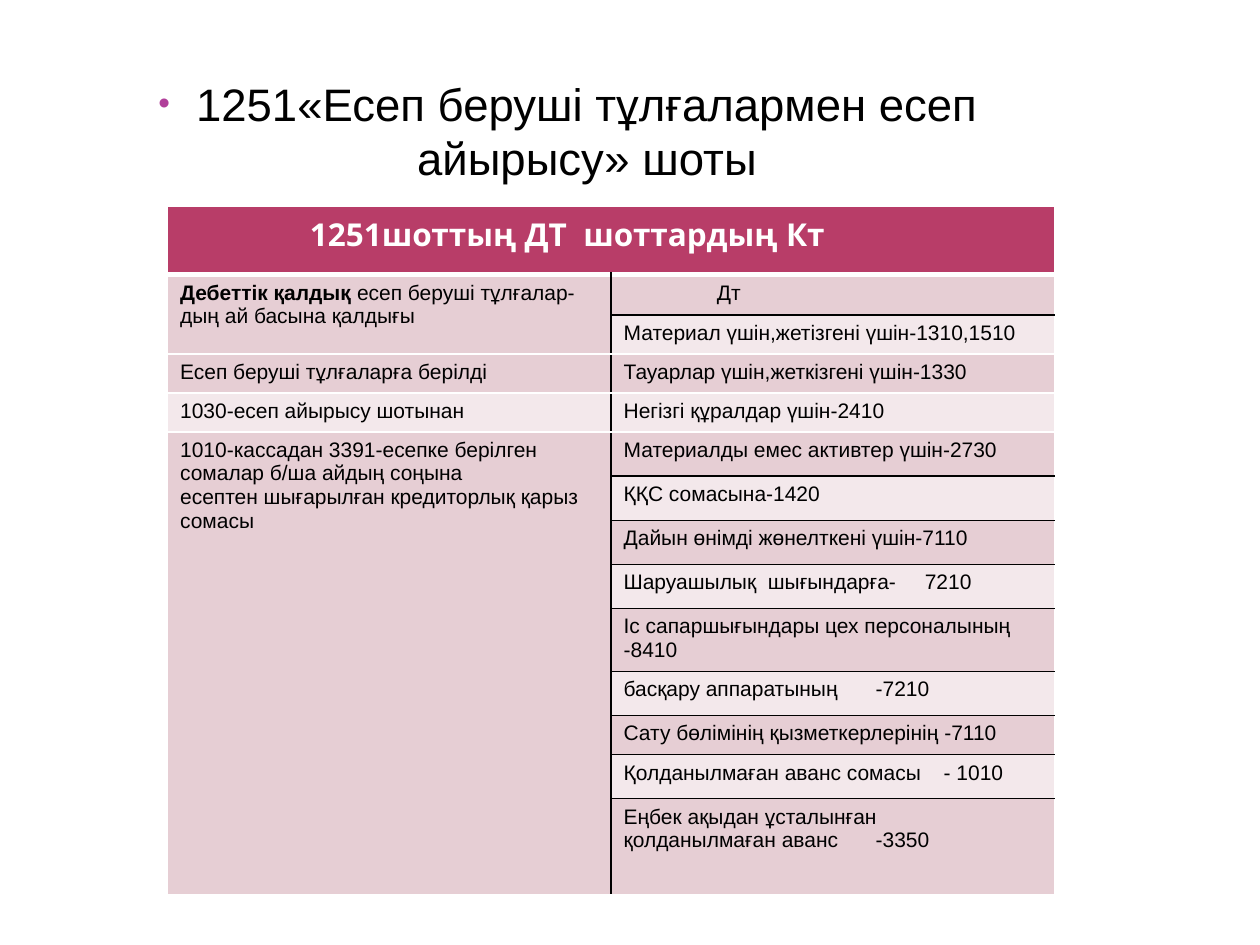
from pptx import Presentation
from pptx.dml.color import RGBColor as Rgb
from pptx.enum.text import MSO_ANCHOR as Anchor, MSO_AUTO_SIZE as AutoSize, PP_ALIGN as Align
from pptx.oxml.ns import qn
from pptx.util import Inches, Pt
from lxml.etree import SubElement

COLORS = {"ink": "000000", "white": "FFFFFF", "header": "B83D68",
          "dark": "E6CED4", "light": "F3E8EB", "bullet": "B13F9A"}

HEADER = "1251шоттың ДТ  шоттардың Кт"
LEFT_CELLS = {
    1: (2, ["Дебеттік қалдық| есеп беруші тұлғалар-", "дың ай басына қалдығы"]),
    3: (1, ["Есеп беруші тұлғаларға берілді"]),
    4: (1, ["1030-есеп айырысу шотынан"]),
    5: (9, ["1010-кассадан 3391-есепке берілген сомалар б/ша айдың соңына\v"
            "есептен шығарылған кредиторлық қарыз сомасы"]),
}
RIGHT_CELLS = [
    (0.32, ["Дт"], {"indent": 0.74}),
    (0.31, ["Материал үшін,жетізгені үшін-1310,1510"], {}),
    (0.31, ["Тауарлар үшін,жеткізгені үшін-1330"], {}),
    (0.31, ["Негізгі құралдар үшін-2410"], {}),
    (0.35, ["Материалды емес активтер үшін-2730"], {}),
    (0.35, ["ҚҚС сомасына-1420"], {}),
    (0.35, ["Дайын өнімді жөнелткені үшін-7110"], {}),
    (0.35, ["Шаруашылық  шығындарға-\t7210"], {"tab": 2.39}),
    (0.5, ["Іс сапаршығындары цех персоналының -8410"], {}),
    (0.35, ["басқару аппаратының\t-7210"], {"tab": 2}),
    (0.31, ["Сату бөлімінің қызметкерлерінің -7110"], {}),
    (0.35, ["Қолданылмаған аванс сомасы\t- 1010"], {"tab": 2.54}),
    (0.76, ["Еңбек ақыдан ұсталынған", "қолданылмаған аванс\t-3350"], {"tab": 2}),
]
WHITE_RULE_ROWS = (2, 3, 4, len(RIGHT_CELLS))


def write(frame, lines, size=12, font="Arial", color="ink", bold=False,
          align=Align.LEFT, indent=0, tab=None):
    for number, line in enumerate(lines):
        para = frame.paragraphs[0] if number == 0 else frame.add_paragraph()
        para.alignment = align
        lead, mark, rest = line.partition("|")
        pieces = [(lead, True), (rest, False)] if mark else [(line, bold)]
        for piece, heavy in pieces:
            for part_number, part in enumerate(piece.split("\v")):
                if part_number:
                    para.add_line_break()
                span = para.add_run()
                span.text = part
                span.font.size = Pt(size)
                span.font.name = font
                span.font.bold = heavy
                span.font.color.rgb = Rgb.from_string(COLORS[color])
        props = para._p.get_or_add_pPr()
        if indent:
            props.set("marL", str(Inches(indent)))
        if tab:
            stops = SubElement(props, qn("a:tabLst"))
            SubElement(stops, qn("a:tab"), pos=str(Inches(tab)), algn="l")


class SlideBuilder:
    def __init__(self, deck):
        self.page = deck.slides.add_slide(deck.slide_layouts[5])

    def title(self, text, left, top, width, height):
        box = self.page.shapes.title
        box.left, box.top = Inches(left), Inches(top)
        box.width, box.height = Inches(width), Inches(height)
        frame = box.text_frame
        frame.word_wrap = True
        frame.auto_size = AutoSize.NONE
        frame.vertical_anchor = Anchor.TOP
        write(frame, [text], size=26, align=Align.CENTER, indent=0.3)
        para = frame.paragraphs[0]
        para.space_before = Pt(6)
        props = para._p.get_or_add_pPr()
        props.set("indent", str(-Inches(0.3)))
        tint = SubElement(props, qn("a:buClr"))
        SubElement(tint, qn("a:srgbClr"), val=COLORS["bullet"])
        SubElement(props, qn("a:buSzPct"), val="73000")
        SubElement(props, qn("a:buFont"), typeface="Arial")
        SubElement(props, qn("a:buChar"), char="•")

    def table(self, left, top, widths, heights):
        holder = self.page.shapes.add_table(
            len(heights), len(widths), Inches(left), Inches(top),
            Inches(sum(widths)), Inches(sum(heights)))
        table = holder.table
        for column, width in zip(table.columns, widths):
            column.width = Inches(width)
        for row, height in zip(table.rows, heights):
            row.height = Inches(height)
        return table

    def cell(self, cell, fill, borders):
        props = cell._tc.get_or_add_tcPr()
        for side, (color, weight) in zip("LRTB", borders):
            line = SubElement(props, qn(f"a:ln{side}"), w=str(Pt(weight)))
            paint = SubElement(line, qn("a:solidFill"))
            SubElement(paint, qn("a:srgbClr"), val=COLORS[color])
        cell.fill.solid()
        cell.fill.fore_color.rgb = Rgb.from_string(COLORS[fill])


def rule_below(row, column):
    if row == 0:
        return "white", 3
    if column == 0 or row in WHITE_RULE_ROWS:
        return "white", 1
    return "ink", 1


deck = Presentation()
deck.slide_width, deck.slide_height = Inches(10), Inches(7.5)
slide = SlideBuilder(deck)
slide.title("1251«Есеп беруші тұлғалармен есеп айырысу» шоты", 0.55, 0.55, 7.92, 1.05)

heights = [0.54] + [height for height, _, _ in RIGHT_CELLS]
ledger = slide.table(1.33, 1.64, [3.52, 3.52], heights)
thin = ("white", 1)
middle = ("ink", 1)
for row in range(len(heights)):
    for column in range(2):
        above = rule_below(row - 1, column) if row else thin
        inner = middle if row else thin
        sides = (thin, inner) if column == 0 else (inner, thin)
        fill = "header" if row == 0 else "dark" if row % 2 else "light"
        slide.cell(ledger.cell(row, column), fill, (*sides, above, rule_below(row, column)))

ledger.cell(0, 0).merge(ledger.cell(0, 1))
write(ledger.cell(0, 0).text_frame, [HEADER], size=18, font="Open Sans",
      color="white", bold=True, indent=1.03)
for row, (span_rows, lines) in LEFT_CELLS.items():
    if span_rows > 1:
        ledger.cell(row, 0).merge(ledger.cell(row + span_rows - 1, 0))
    write(ledger.cell(row, 0).text_frame, lines)
for row, (_, lines, options) in enumerate(RIGHT_CELLS, start=1):
    write(ledger.cell(row, 1).text_frame, lines, **options)

deck.save("out.pptx")
